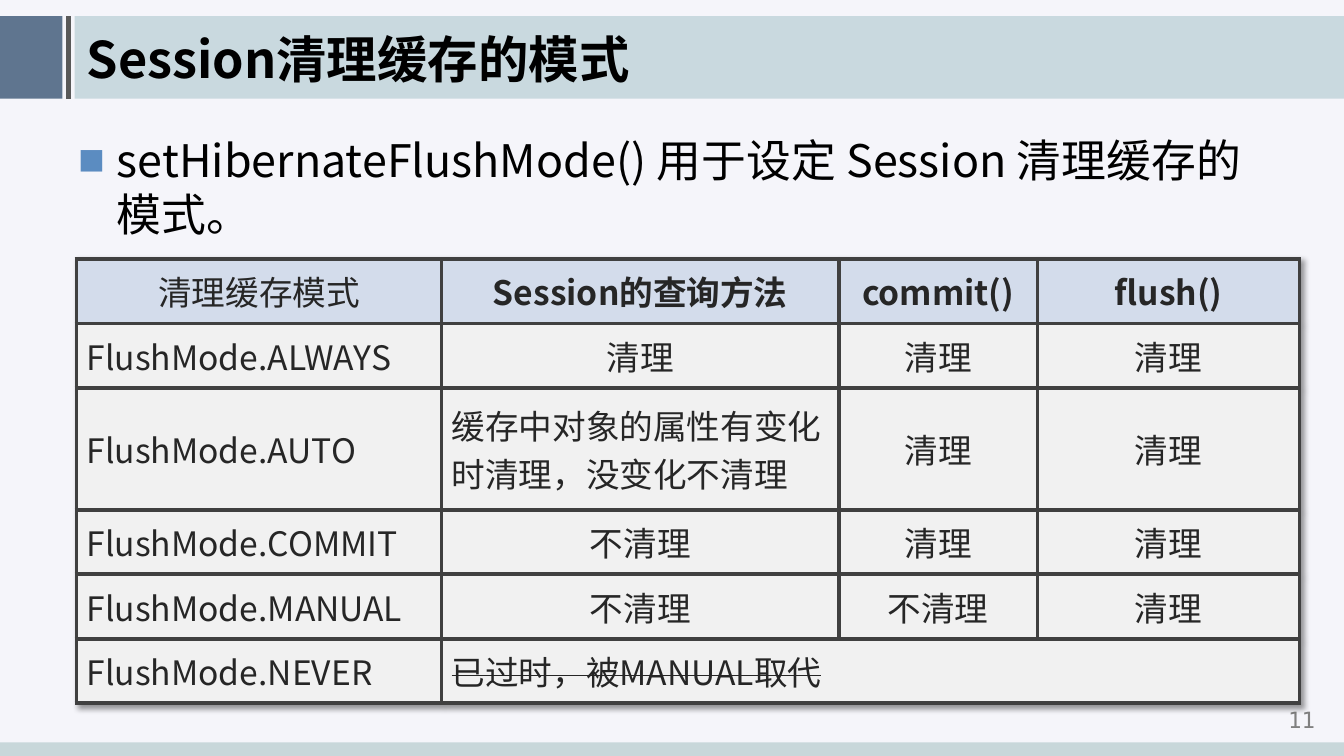
from lxml.etree import SubElement
from pptx import Presentation
from pptx.dml.color import RGBColor
from pptx.enum.shapes import MSO_CONNECTOR, MSO_SHAPE
from pptx.enum.text import MSO_ANCHOR, MSO_AUTO_SIZE, PP_ALIGN
from pptx.oxml.ns import qn
from pptx.util import Inches, Pt

WIDTH, HEIGHT = Inches(13.33), Inches(7.5)
FONT = "Noto Sans CJK SC"
BAND_TOP, BAND_HEIGHT = 2.13, 10.93

# Table content; None marks a cell merged into the one on its left
COLUMNS = [27.16, 29.56, 14.78, 19.5]
ROWS = [8.53, 8.53, 16.13, 8.53, 8.53, 8.53]
FLUSH_MODES = [
    ["清理缓存模式", "Session的查询方法", "commit()", "flush()"],
    ["FlushMode.ALWAYS", "清理", "清理", "清理"],
    ["FlushMode.AUTO", "缓存中对象的属性有变化时清理，没变化不清理", "清理", "清理"],
    ["FlushMode.COMMIT", "不清理", "清理", "清理"],
    ["FlushMode.MANUAL", "不清理", "不清理", "清理"],
    ["FlushMode.NEVER", "已过时，被MANUAL取代", None, None],
]


def color(value):
    return RGBColor.from_string(value)


def across(percent):
    return round(WIDTH * percent / 100)


def down(percent):
    return round(HEIGHT * percent / 100)


def area(left, top, width, height):
    """Turn percentages of the slide into left, top, width and height."""
    return across(left), down(top), across(width), down(height)


def place(shape, *shares):
    shape.left, shape.top, shape.width, shape.height = area(*shares)


def add_xml(parent, tag, **attributes):
    return SubElement(parent, qn(tag), attributes)


def style(para, size, value, bold=False, font=FONT, align=PP_ALIGN.LEFT):
    para.alignment = align
    para.font.size, para.font.bold, para.font.name = Pt(size), bold, font
    para.font.color.rgb = color(value)
    add_xml(para.font._element, "a:ea", typeface=font)


def add_bar(slide, shares, fill, opacity=100):
    bar = slide.shapes.add_shape(MSO_SHAPE.RECTANGLE, *area(*shares))
    bar.shadow.inherit = False
    bar.line.fill.background()
    bar.fill.solid()
    bar.fill.fore_color.rgb = color(fill)
    if opacity < 100:
        tint = bar._element.spPr.find(".//" + qn("a:srgbClr"))
        add_xml(tint, "a:alpha", val=str(opacity * 1000))


def add_rule(slide, x, top, bottom, value):
    rule = slide.shapes.add_connector(
        MSO_CONNECTOR.STRAIGHT, across(x), down(top), across(x), down(bottom))
    rule.line.width = Pt(3)
    rule.line.color.rgb = color(value)
    add_xml(rule._element.spPr, "a:effectLst")


def fill_placeholder(slide, holder, text, shares, anchor):
    """Place a template placeholder in front of the bars; return its paragraph."""
    place(holder, *shares)
    slide.shapes._spTree.append(holder._element)
    frame = holder.text_frame
    frame.text = text
    frame.auto_size = MSO_AUTO_SIZE.NONE
    frame.word_wrap = True
    frame.vertical_anchor = anchor
    return frame.paragraphs[0]


def add_bullet(para, value):
    properties = para._p.get_or_add_pPr()
    properties.set("marL", str(Inches(0.38)))
    properties.set("indent", str(-Inches(0.38)))
    add_xml(add_xml(properties, "a:buClr"), "a:srgbClr", val=value)
    add_xml(properties, "a:buSzPct", val="60000")
    add_xml(properties, "a:buFont", typeface=FONT)
    add_xml(properties, "a:buChar", char="■")


def add_borders(cell, value):
    properties = cell._tc.get_or_add_tcPr()
    for position, side in enumerate(("a:lnL", "a:lnR", "a:lnT", "a:lnB")):
        line = properties.makeelement(qn(side), {"w": str(Pt(3))})
        add_xml(add_xml(line, "a:solidFill"), "a:srgbClr", val=value)
        properties.insert(position, line)


def add_table_shadow(table):
    effects = add_xml(table._tbl.tblPr, "a:effectLst")
    table._tbl.tblPr.insert(0, effects)
    shadow = add_xml(effects, "a:outerShdw", blurRad=str(Pt(4)), dist=str(Pt(3)),
                     dir="2700000", algn="tl", rotWithShape="0")
    add_xml(add_xml(shadow, "a:srgbClr", val="000000"), "a:alpha", val="40000")


def add_mode_table(slide):
    table = slide.shapes.add_table(
        len(ROWS), len(COLUMNS), *area(5.7, 34.27, sum(COLUMNS), sum(ROWS))).table
    table.horz_banding = False
    for column, share in zip(table.columns, COLUMNS):
        column.width = across(share)
    for row, share in zip(table.rows, ROWS):
        row.height = down(share)
    last = len(ROWS) - 1
    table.cell(last, 1).merge(table.cell(last, len(COLUMNS) - 1))

    for i, texts in enumerate(FLUSH_MODES):
        for j, text in enumerate(texts):
            cell = table.cell(i, j)
            cell.fill.solid()
            cell.fill.fore_color.rgb = color("F1F1F1" if i else "D3DCEB")
            add_borders(cell, "404040")
            if text is None:
                continue
            cell.text = text
            cell.vertical_anchor = MSO_ANCHOR.MIDDLE
            centered = i == 0 or (j > 0 and len(text) < 5)
            style(cell.text_frame.paragraphs[0], 24, "262626", bold=i == 0 and j > 0,
                  align=PP_ALIGN.CENTER if centered else PP_ALIGN.LEFT)
    # The obsolete mode is struck through
    span = table.cell(last, 1).text_frame.paragraphs[0].runs[0]
    span.font._element.set("strike", "sngStrike")
    add_table_shadow(table)


def add_page_number(slide, number):
    box = slide.shapes.add_textbox(*area(93.7, 92.8, 6.3, 4.13))
    box.text_frame.word_wrap = True
    box.text_frame.text = number
    style(box.text_frame.paragraphs[0], 16, "808080",
          font="DejaVu Sans Mono", align=PP_ALIGN.CENTER)


def main():
    deck = Presentation()
    deck.slide_width, deck.slide_height = WIDTH, HEIGHT
    slide = deck.slides.add_slide(deck.slide_layouts[1])
    slide.background.fill.solid()
    slide.background.fill.fore_color.rgb = color("F5F5FA")

    # Title band and footer strip
    add_bar(slide, (0, BAND_TOP, 4.65, BAND_HEIGHT), "204062", 70)
    add_rule(slide, 5.1, BAND_TOP, BAND_TOP + BAND_HEIGHT, "595959")
    add_bar(slide, (5.55, BAND_TOP, 94.45, BAND_HEIGHT), "6699A1", 30)
    add_bar(slide, (0, 98.2, 100, 1.8), "C8D7DA")
    add_page_number(slide, "11")

    # Title and body
    title = fill_placeholder(slide, slide.shapes.title, "Session清理缓存的模式",
                             (5.7, 2.8, 86.55, 9.73), MSO_ANCHOR.MIDDLE)
    style(title, 36, "000000", bold=True)
    body = fill_placeholder(slide, slide.placeholders[1],
                            "setHibernateFlushMode() 用于设定 Session 清理缓存的模式。",
                            (5.1, 16.93, 89.8, 18.93), MSO_ANCHOR.TOP)
    body.line_spacing, body.space_before = 1.0, Pt(0)
    add_bullet(body, "5B8CC1")
    style(body, 32, "000000")

    add_mode_table(slide)
    deck.save("out.pptx")


if __name__ == "__main__":
    main()
